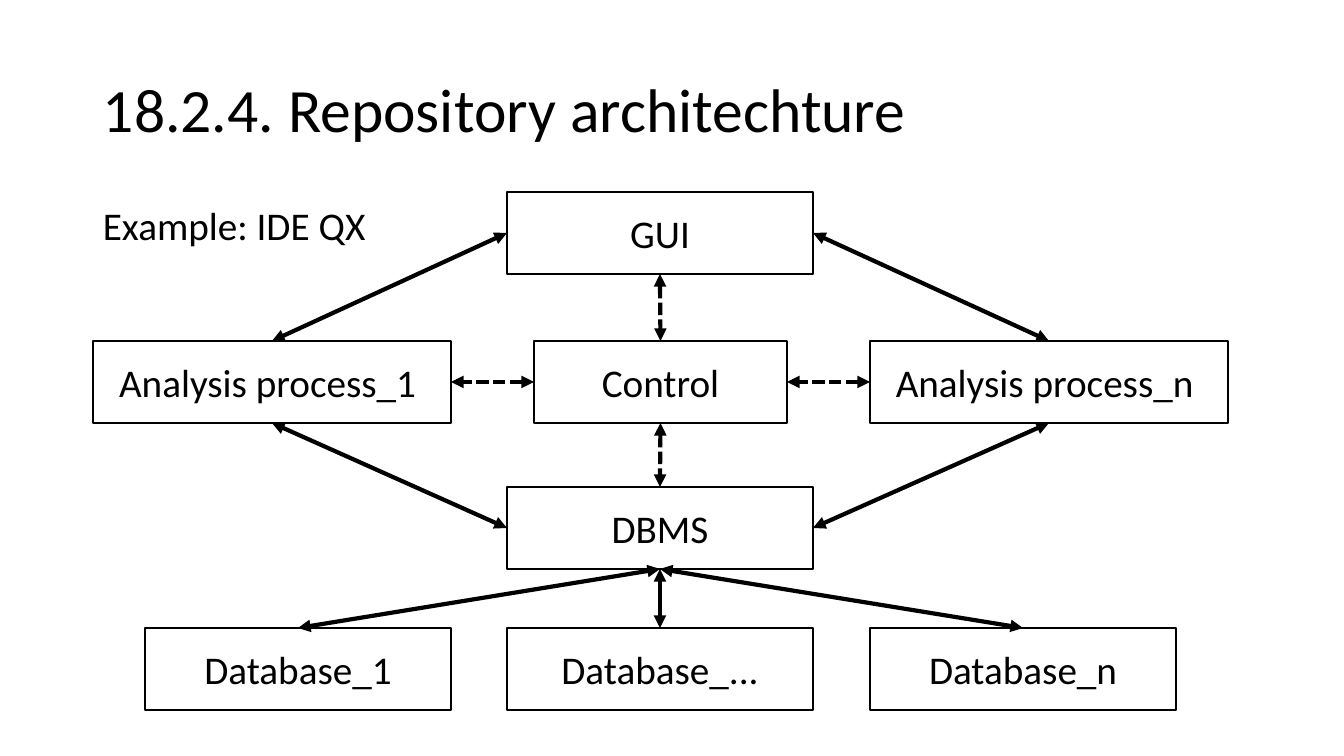
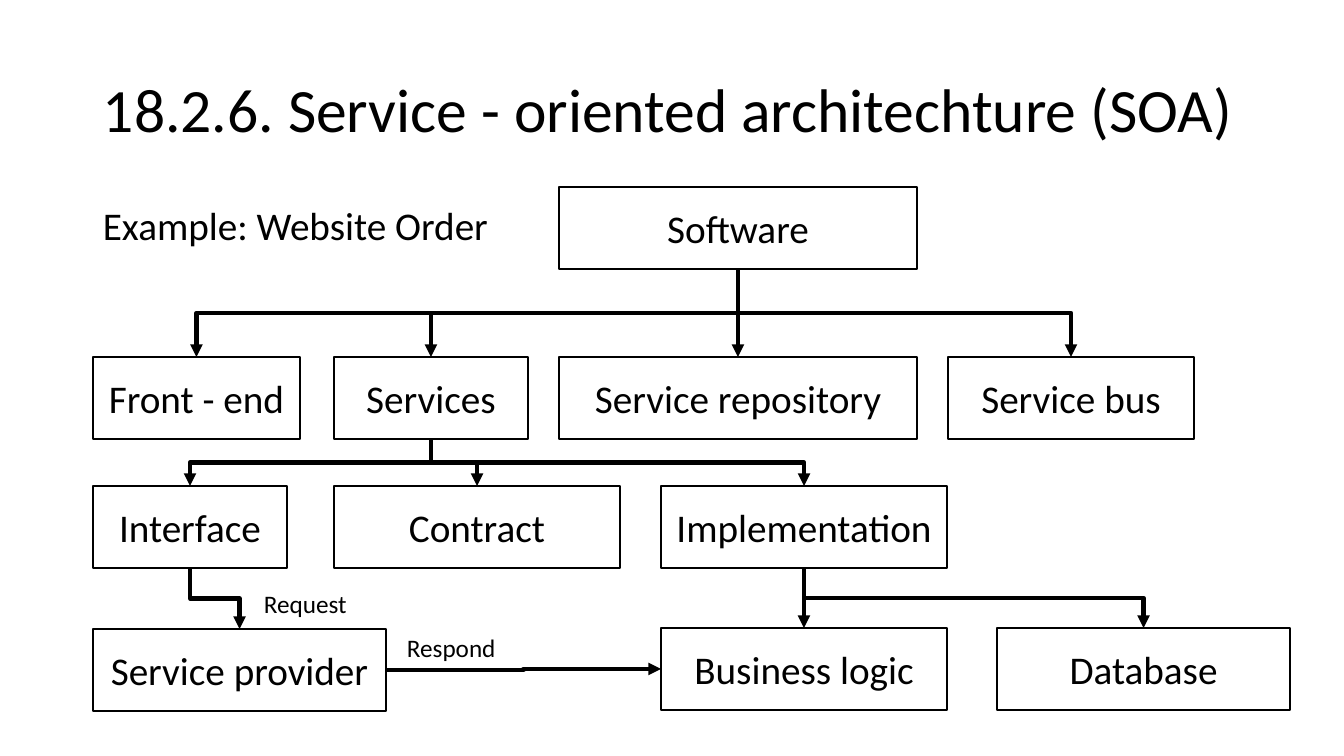
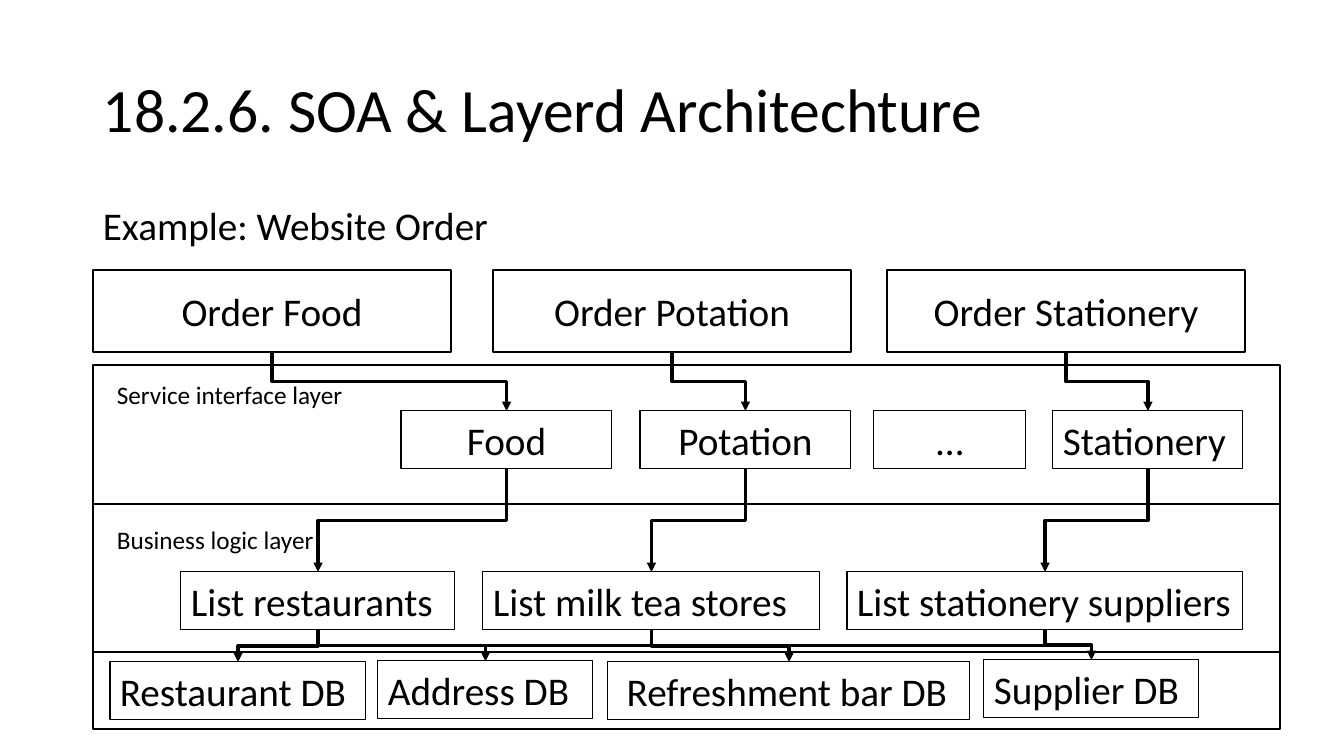
from lxml import etree
from pptx import Presentation
from pptx.dml.color import RGBColor
from pptx.enum.dml import MSO_LINE
from pptx.enum.shapes import MSO_CONNECTOR, MSO_SHAPE
from pptx.enum.text import MSO_ANCHOR, PP_ALIGN
from pptx.oxml.ns import qn
from pptx.util import Emu, Pt

# Shared style
PX = 914400 / 100.8
COLORS = {"ink": "000000", "page": "FFFFFF"}
INK = RGBColor.from_string(COLORS["ink"])
FONT = "Calibri"
LEFT, CENTER = PP_ALIGN.LEFT, PP_ALIGN.CENTER
TOP, MIDDLE = MSO_ANCHOR.TOP, MSO_ANCHOR.MIDDLE
RECT = MSO_SHAPE.RECTANGLE
STRAIGHT, ELBOW = MSO_CONNECTOR.STRAIGHT, MSO_CONNECTOR.ELBOW
DASH = MSO_LINE.SQUARE_DOT
N, W, S, E = range(4)  # connection sites of a rectangle
TALL, LOW = 82, 58


def put(slide, text, x, y, w, h, size=28, align=CENTER, anchor=MIDDLE, line=0, gap=1):
    """Add text, framed by a rectangle when line is given."""
    area = [Emu(round(n * PX)) for n in (x, y, w, h)]
    if line:
        shape = slide.shapes.add_shape(RECT, *area)
        shape.shadow.inherit = False
        shape.fill.background()
        shape.line.color.rgb = INK
        shape.line.width = Pt(line)
    else:
        shape = slide.shapes.add_textbox(*area)
    frame = shape.text_frame
    frame.word_wrap = True
    frame.vertical_anchor = anchor
    para = frame.paragraphs[0]
    para.text = text
    para.alignment = align
    para.line_spacing = gap
    para.font.size = Pt(size)
    para.font.name = FONT
    para.font.color.rgb = INK
    return shape


def link(slide, a, out, b, into, kind, weight, ends, dashed=False):
    """Glue an arrow from one site of box a to one site of box b."""
    same = a.left + a.width // 2 == b.left + b.width // 2
    arrow = slide.shapes.add_connector(STRAIGHT if same else kind, 0, 0, 0, 0)
    arrow.begin_connect(a, out)
    arrow.end_connect(b, into)
    props = arrow._element.spPr
    if kind == ELBOW and out == S and not same:
        # Turn the elbow so that it leaves downwards
        x1, y1, x2, y2 = arrow.begin_x, arrow.begin_y, arrow.end_x, arrow.end_y
        wide, high = y2 - y1, abs(x2 - x1)
        arrow.left, arrow.top = (x1 + x2 - wide) // 2, (y1 + y2 - high) // 2
        arrow.width, arrow.height = wide, high
        right = x2 > x1
        props.xfrm.flipH = right
        props.xfrm.rot = 270.0 if right else 90.0
    arrow.line.color.rgb = INK
    arrow.line.width = Pt(weight)
    if dashed:
        arrow.line.dash_style = DASH
    for end in ends:
        etree.SubElement(props.find(qn("a:ln")), qn("a:" + end), type="triangle")
    etree.SubElement(props, qn("a:effectLst"))


# Content: rows are (y, height, alignment, [(text, x, width)]),
# notes are (text, x, y, width), layers are (y, height)
ONE, MANY = "Analysis process_1 ", "Analysis process_n "
SLIDES = [
    {
        "title": "18.2.4. Repository architechture",
        "lead": "Example: IDE QX",
        "rows": [
            (192, TALL, CENTER, [("GUI", 507, 306)]),
            (341, TALL, CENTER, [(ONE, 93, 358), ("Control", 534, 253), (MANY, 870, 358)]),
            (487, TALL, CENTER, [("DBMS", 507, 306)]),
            (628, TALL, CENTER, [("Database_1", 145, 306), ("Database_...", 507, 306),
                                 ("Database_n", 870, 306)]),
        ],
        "kind": STRAIGHT, "weight": 3, "ends": ("headEnd", "tailEnd"),
        "links": [
            ("GUI", S, "Control", N, True), ("Control", S, "DBMS", N, True),
            ("Control", W, ONE, E, True), (MANY, W, "Control", E, True),
            (ONE, N, "GUI", W), ("GUI", E, MANY, N),
            (ONE, S, "DBMS", W), (MANY, S, "DBMS", E),
        ],
        "tree": {"DBMS": ["Database_1", "Database_...", "Database_n"]},
    },
    {
        "title": "18.2.6. Service - oriented architechture (SOA)",
        "lead": "Example: Website Order",
        "rows": [
            (187, TALL, CENTER, [("Software", 559, 358)]),
            (357, TALL, CENTER, [("Front - end", 93, 207), ("Services", 334, 194),
                                 ("Service repository", 559, 358), ("Service bus", 948, 246)]),
            (486, TALL, CENTER, [("Interface", 93, 194), ("Contract", 334, 286),
                                 ("Implementation", 661, 286)]),
            (629, TALL, CENTER, [("Service provider", 93, 293)]),
            (628, TALL, CENTER, [("Business logic", 661, 286), ("Database", 997, 293)]),
        ],
        "notes": [("Request", 254, 583, 223), ("Respond", 397, 627, 223)],
        "kind": ELBOW, "weight": 3, "ends": ("tailEnd",),
        "links": [("Service provider", E, "Business logic", W)],
        "tree": {
            "Software": ["Front - end", "Services", "Service repository", "Service bus"],
            "Services": ["Interface", "Contract", "Implementation"],
            "Implementation": ["Business logic", "Database"],
            "Interface": ["Service provider"],
        },
    },
    {
        "title": "18.2.6. SOA & Layerd Architechture",
        "lead": "Example: Website Order",
        "layers": [(365, 139), (504, 148), (652, 77)],
        "rows": [
            (270, TALL, CENTER, [("Order Food", 93, 358), ("Order Potation", 493, 358),
                                 ("Order Stationery", 887, 358)]),
            (411, LOW, CENTER, [("Food", 401, 211), ("Potation", 640, 211), ("…", 874, 152)]),
            (411, LOW, LEFT, [("Stationery", 1053, 190)]),
            (572, LOW, LEFT, [("List restaurants", 181, 274), ("List milk tea stores", 483, 337),
                              ("List stationery suppliers", 847, 396)]),
            (662, LOW, LEFT, [("Restaurant DB", 110, 256), (" Refreshment bar DB", 608, 362)]),
            (661, LOW, LEFT, [("Address DB", 378, 215)]),
            (660, LOW, LEFT, [("Supplier DB", 984, 215)]),
        ],
        "notes": [("Service interface layer", 107, 374, 403),
                  ("Business logic layer", 107, 519, 403)],
        "kind": ELBOW, "weight": 2.25, "ends": ("tailEnd",),
        "tree": {
            "Order Food": ["Food"],
            "Order Potation": ["Potation"],
            "Order Stationery": ["Stationery"],
            "Food": ["List restaurants"],
            "Potation": ["List milk tea stores"],
            "Stationery": ["List stationery suppliers"],
            "List restaurants": ["Restaurant DB", "Address DB"],
            "List milk tea stores": [" Refreshment bar DB"],
            "List stationery suppliers": ["Supplier DB", "Address DB"],
        },
    },
]

# Build the slides
deck = Presentation()
deck.slide_width, deck.slide_height = Emu(round(1344 * PX)), Emu(round(756 * PX))
for data in SLIDES:
    slide = deck.slides.add_slide(deck.slide_layouts[6])
    slide.background.fill.solid()
    slide.background.fill.fore_color.rgb = RGBColor.from_string(COLORS["page"])

    # Title and lead
    put(slide, data["title"], 93, 40, 1159, 146, size=44, align=LEFT, gap=0.9)
    put(slide, data["lead"], 93, 202, 1159, 53, align=LEFT, anchor=TOP, gap=0.9)

    # Layers, boxes and notes
    for y, h in data.get("layers", []):
        put(slide, "", 93, y, 1187, h, line=1)
    boxes = {}
    for y, h, align, row in data["rows"]:
        for text, x, w in row:
            boxes[text] = put(slide, text, x, y, w, h, align=align,
                              line=1 if h == TALL else 0.75)
    for text, x, y, w in data.get("notes", []):
        put(slide, text, x, y, w, 40, size=18, align=LEFT, anchor=TOP)

    # Arrows
    links = data.get("links", []) + [
        (top, S, low, N) for top, lows in data["tree"].items() for low in lows]
    for a, out, b, into, *dashed in links:
        link(slide, boxes[a], out, boxes[b], into,
             data["kind"], data["weight"], data["ends"], bool(dashed))

deck.save("out.pptx")
